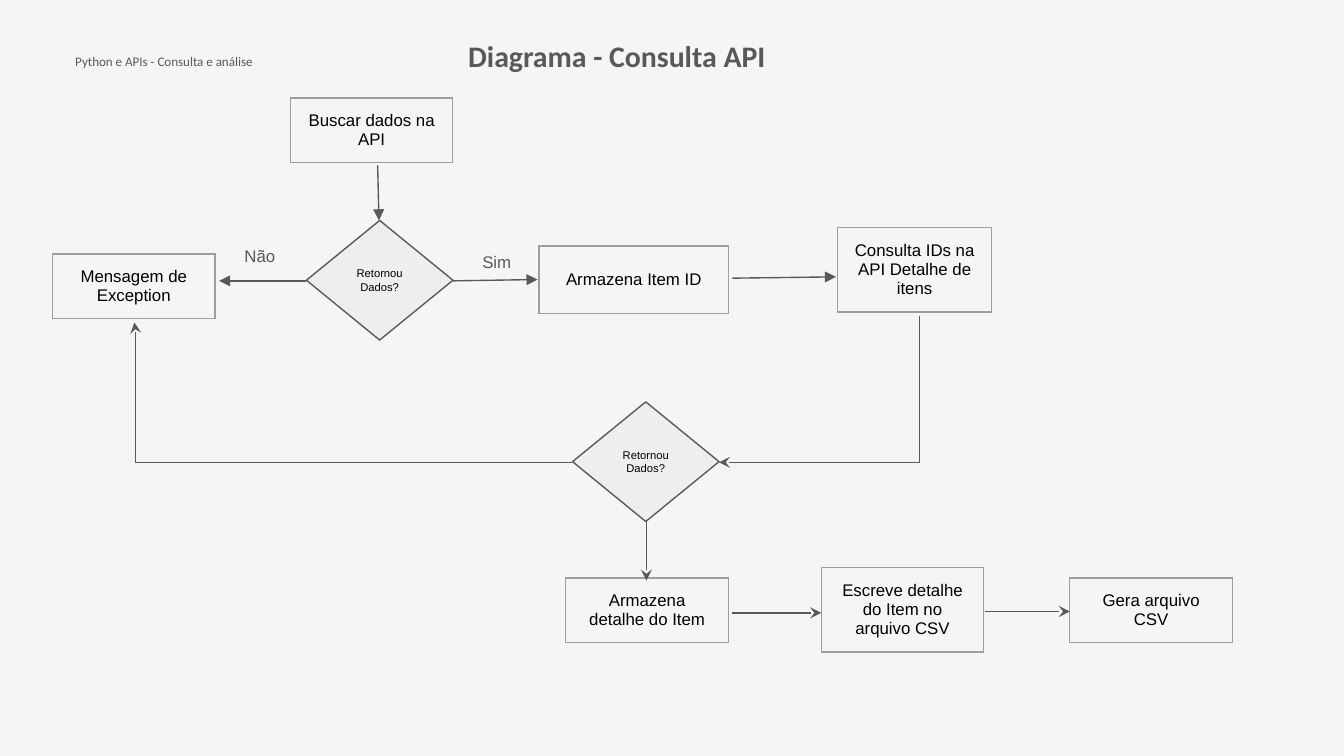
from pptx import Presentation
from pptx.dml.color import RGBColor
from pptx.enum.shapes import MSO_CONNECTOR, MSO_SHAPE
from pptx.enum.text import MSO_ANCHOR, PP_ALIGN
from pptx.oxml.ns import qn
from pptx.util import Pt
from lxml import etree

PX = 9144
PAPER = RGBColor(0xF5, 0xF5, 0xF5)
PALE = RGBColor(0xEE, 0xEE, 0xEE)
BORDER = RGBColor(0x9E, 0x9E, 0x9E)
GRAY = RGBColor(0x59, 0x59, 0x59)
BLACK = RGBColor(0, 0, 0)
STRAIGHT, ELBOW = MSO_CONNECTOR.STRAIGHT, MSO_CONNECTOR.ELBOW
DIAMOND = MSO_SHAPE.DIAMOND
LEFT, CENTER = PP_ALIGN.LEFT, PP_ALIGN.CENTER
TOP, MIDDLE = MSO_ANCHOR.TOP, MSO_ANCHOR.MIDDLE
LINE_WIDTH = Pt(0.75)
INSET = 10
CELL_INSET = 9


def px(*values):
    return [v * PX for v in values]


def write(tf, text, size=9, font="Arial", color=BLACK, bold=False, align=CENTER):
    tf.word_wrap = True
    p = tf.paragraphs[0]
    p.alignment = align
    r = p.add_run()
    r.text = text
    r.font.size = Pt(size)
    r.font.name = font
    r.font.bold = bold
    r.font.color.rgb = color


def set_margins(target, left=INSET, top=INSET, right=INSET, bottom=INSET):
    target.margin_left, target.margin_top, target.margin_right, target.margin_bottom = px(
        left, top, right, bottom)


class Diagram:
    def __init__(self, prs):
        self.s = prs.slides.add_slide(prs.slide_layouts[6])
        fill = self.s.background.fill
        fill.solid()
        fill.fore_color.rgb = PAPER

    def label(self, text, x, y, w, h, margins=(INSET,) * 4, anchor=MIDDLE, **style):
        tf = self.s.shapes.add_textbox(*px(x, y, w, h)).text_frame
        set_margins(tf, *margins)
        tf.vertical_anchor = anchor
        write(tf, text, color=GRAY, **style)

    def box(self, text, x, y, w=121, h=40):
        table = self.s.shapes.add_table(1, 1, *px(x, y, w, h)).table
        table.first_row = table.horz_banding = False
        cell = table.cell(0, 0)
        cell.vertical_anchor = MIDDLE
        set_margins(cell, top=CELL_INSET, bottom=CELL_INSET)
        tc_pr = cell._tc.get_or_add_tcPr()
        for side in ("lnL", "lnR", "lnT", "lnB"):
            ln = etree.SubElement(tc_pr, qn(f"a:{side}"), w=str(LINE_WIDTH))
            solid = etree.SubElement(ln, qn("a:solidFill"))
            etree.SubElement(solid, qn("a:srgbClr"), val=str(BORDER))
        cell.fill.background()
        write(cell.text_frame, text)

    def decision(self, text, x, y):
        sp = self.s.shapes.add_shape(DIAMOND, *px(x, y, 109, 89))
        sp.shadow.inherit = False
        sp.fill.solid()
        sp.fill.fore_color.rgb = PALE
        sp.line.color.rgb = GRAY
        sp.line.width = LINE_WIDTH
        tf = sp.text_frame
        set_margins(tf)
        tf.vertical_anchor = MIDDLE
        write(tf, text, size=6)

    def arrow(self, x1, y1, x2, y2, head="triangle", end="tailEnd", bend=None):
        kind = STRAIGHT if bend is None else ELBOW
        c = self.s.shapes.add_connector(kind, *px(x1, y1, x2, y2))
        c.line.color.rgb = GRAY
        c.line.width = LINE_WIDTH
        sp_pr = c._element.spPr
        etree.SubElement(sp_pr.find(qn("a:ln")), qn(f"a:{end}"), type=head)
        etree.SubElement(sp_pr, qn("a:effectLst"))
        if bend is not None:
            guides = sp_pr.find(qn("a:prstGeom")).get_or_add_avLst()
            etree.SubElement(guides, qn("a:gd"), name="adj1", fmla=f"val {bend}")


def main():
    prs = Presentation()
    prs.slide_width = 1000 * PX
    prs.slide_height = prs.slide_width * 9 // 16
    d = Diagram(prs)

    d.label("Python e APIs - Consulta e análise", 56, 40, 292, 11, margins=(0,) * 4,
            anchor=TOP, size=7, font="Calibri", align=LEFT)

    d.box("Buscar dados na API", 216, 73, h=44)
    d.decision("Retornou Dados?", 228, 164)
    d.box("Mensagem de Exception", 39, 189)
    d.box("Armazena Item ID", 401, 183, w=141, h=50)
    for ends in ((281, 123, 282, 164), (228, 209, 163, 209), (337, 209, 400, 208)):
        d.arrow(*ends)
    d.label("Não", 172, 185, 52, 11, align=LEFT)
    d.label("Sim", 349, 189, 52, 11, align=LEFT)
    d.box("Consulta IDs na API Detalhe de itens", 623, 169, w=115, h=50)
    d.arrow(545, 207, 622, 206)

    d.decision("Retornou Dados?", 426, 299)
    d.box("Armazena detalhe do Item", 421, 430)
    d.arrow(100, 240, 426, 344, head="stealth", end="headEnd", bend=300)
    d.arrow(684, 235, 535, 344, head="stealth", bend=0)
    d.box("Escreve detalhe do Item no arquivo CSV", 611, 422)
    d.box("Gera arquivo CSV", 796, 430)
    for ends in ((481, 388, 481, 432), (545, 456, 611, 456), (733, 455, 796, 455)):
        d.arrow(*ends, head="stealth")

    d.label("Diagrama - Consulta API ", 268, 18, 397, 38, margins=(0, INSET, INSET, INSET),
            anchor=TOP, size=16, font="Calibri", bold=True)

    prs.save("out.pptx")


if __name__ == "__main__":
    main()
